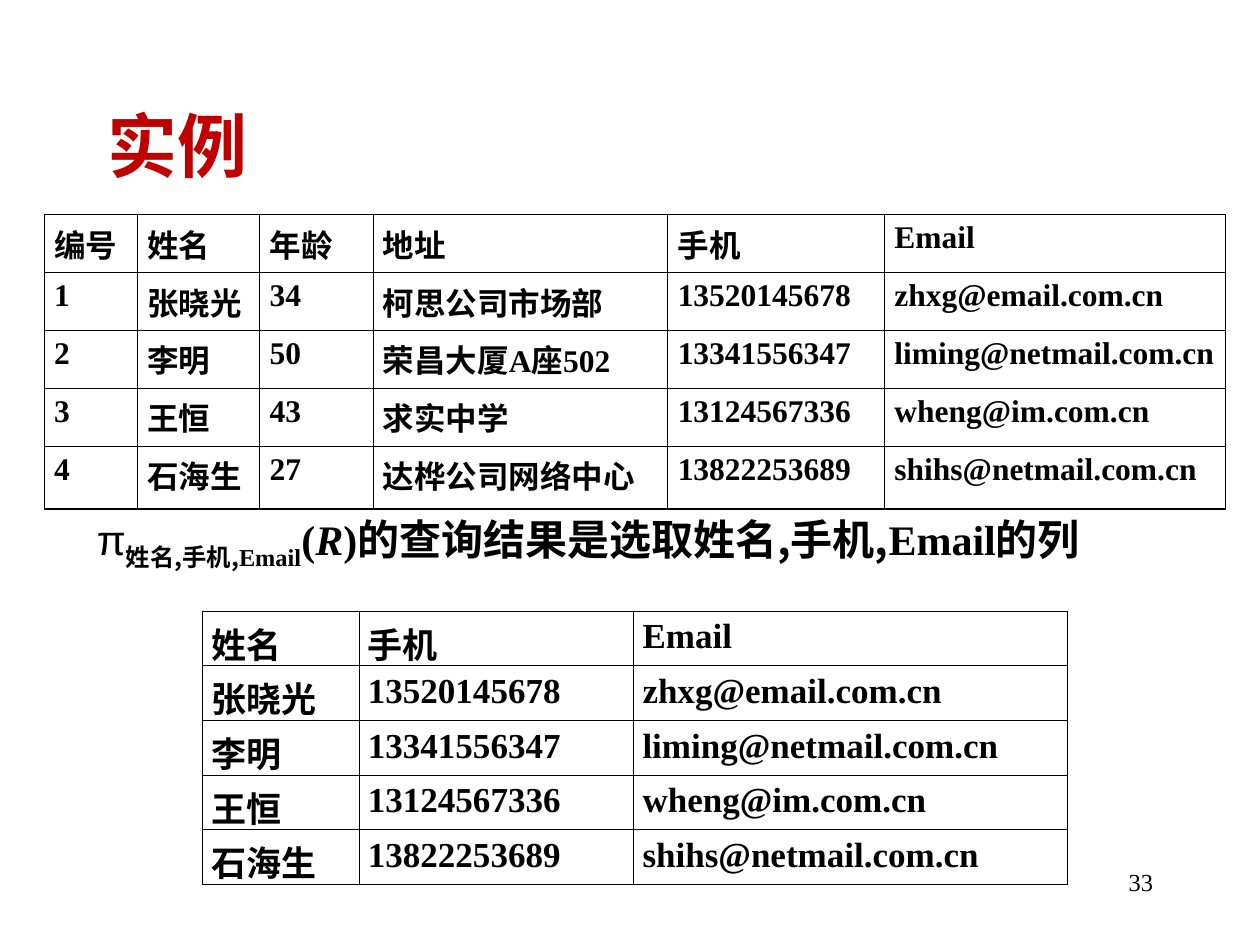
from lxml import etree
from pptx import Presentation
from pptx.dml.color import RGBColor
from pptx.enum.text import MSO_ANCHOR, PP_ALIGN
from pptx.oxml.ns import qn
from pptx.util import Inches, Pt

LEFT, RIGHT, JUSTIFY = PP_ALIGN.LEFT, PP_ALIGN.RIGHT, PP_ALIGN.JUSTIFY
MIDDLE = MSO_ANCHOR.MIDDLE
SERIF, SANS, CJK = "Times New Roman", "Arial", "Noto Sans CJK SC"
BLACK, RED = "000000", "C00000"
OUTER, INNER = 0.75, 0.45  # table line widths in points

HEADER = ["编号", "姓名", "年龄", "地址", "手机", "Email"]
PEOPLE = [
    ["1", "张晓光", "34", "柯思公司市场部", "13520145678", "zhxg@email.com.cn"],
    ["2", "李明", "50", "荣昌大厦A座502", "13341556347", "liming@netmail.com.cn"],
    ["3", "王恒", "43", "求实中学", "13124567336", "wheng@im.com.cn"],
    ["4", "石海生", "27", "达桦公司网络中心", "13822253689", "shihs@netmail.com.cn"],
]
PROJECTED = ["姓名", "手机", "Email"]


def rgb(color):
    return RGBColor.from_string(color)


def add_run(p, text, size=24, font=SERIF, color=BLACK, bold=True, italic=False, base=0):
    r = p.add_run()
    r.text = text
    f = r.font
    f.size, f.name, f.bold, f.italic = Pt(size), font, bold, italic
    f.color.rgb = rgb(color)
    rPr = r._r.get_or_add_rPr()
    etree.SubElement(rPr, qn("a:ea")).set("typeface", CJK)
    if base:
        rPr.set("baseline", str(base * 1000))


def add_box(s, x, y, w, h, align=LEFT):
    tf = s.shapes.add_textbox(Inches(x), Inches(y), Inches(w), Inches(h)).text_frame
    tf.word_wrap = True
    p = tf.paragraphs[0]
    p.alignment = align
    return p


def set_border(cell, side, width):
    ln = etree.SubElement(cell._tc.get_or_add_tcPr(), qn("a:ln" + side), w=str(Pt(width)))
    fill = etree.SubElement(ln, qn("a:solidFill"))
    etree.SubElement(fill, qn("a:srgbClr"), val=BLACK)


def add_table(s, x, y, cols, heights, rows, size, inset):
    last_row, last_col = len(rows) - 1, len(cols) - 1
    table = s.shapes.add_table(len(rows), len(cols), Inches(x), Inches(y),
                               Inches(sum(cols)), Inches(sum(heights))).table
    table.first_row = table.horz_banding = False
    for col, width in zip(table.columns, cols):
        col.width = Inches(width)
    for row, height in zip(table.rows, heights):
        row.height = Inches(height)
    for i, texts in enumerate(rows):
        for j, text in enumerate(texts):
            cell = table.cell(i, j)
            cell.margin_left = cell.margin_right = Inches(inset)
            cell.margin_top = cell.margin_bottom = Inches(0.05)
            # Heavier lines around the table and under its header
            heavy = {"L": j == 0, "R": j == last_col,
                     "T": i <= 1, "B": i in (0, last_row)}
            for side, is_heavy in heavy.items():
                set_border(cell, side, OUTER if is_heavy else INNER)
            cell.fill.background()
            p = cell.text_frame.paragraphs[0]
            p.alignment = JUSTIFY
            add_run(p, text, size=size)


def add_title(s, text):
    title = s.shapes.title
    title.left, title.top = Inches(0.75), Inches(0.67)
    title.width, title.height = Inches(8.5), Inches(0.96)
    tf = title.text_frame
    tf.vertical_anchor = MIDDLE
    p = tf.paragraphs[0]
    p.alignment = LEFT
    add_run(p, text, size=40, color=RED)


def add_projection(s):
    p = add_box(s, 0.67, 4.03, 8.9, 0.56)
    add_run(p, "π", font=SANS, bold=False)
    add_run(p, "姓名,手机,", font=CJK, base=-25)
    add_run(p, "Email", base=-25)
    add_run(p, "(")
    add_run(p, "R", italic=True)
    add_run(p, ")")
    add_run(p, "的查询结果是选取姓名,手机,", font=CJK)
    add_run(p, "Email")
    add_run(p, "的列", font=CJK)


def main():
    prs = Presentation()
    prs.slide_width, prs.slide_height = Inches(10), Inches(7.5)
    s = prs.slides.add_slide(prs.slide_layouts[5])

    add_title(s, "实例")
    add_run(add_box(s, 7.17, 6.83, 2.08, 0.5, RIGHT), "33", size=14, bold=False)

    # Full relation
    rows = [HEADER] + PEOPLE
    add_table(s, 0.35, 1.7, [0.74, 0.97, 0.9, 2.34, 1.72, 2.71],
              [0.46] * 4 + [0.5], rows, size=18, inset=0.08)

    add_projection(s)

    # Result of the projection: only the named columns
    keep = [HEADER.index(name) for name in PROJECTED]
    add_table(s, 1.61, 4.85, [1.24, 2.18, 3.44], [0.43] * 5,
              [[row[k] for k in keep] for row in rows], size=20, inset=0.07)

    prs.save("out.pptx")


if __name__ == "__main__":
    main()
